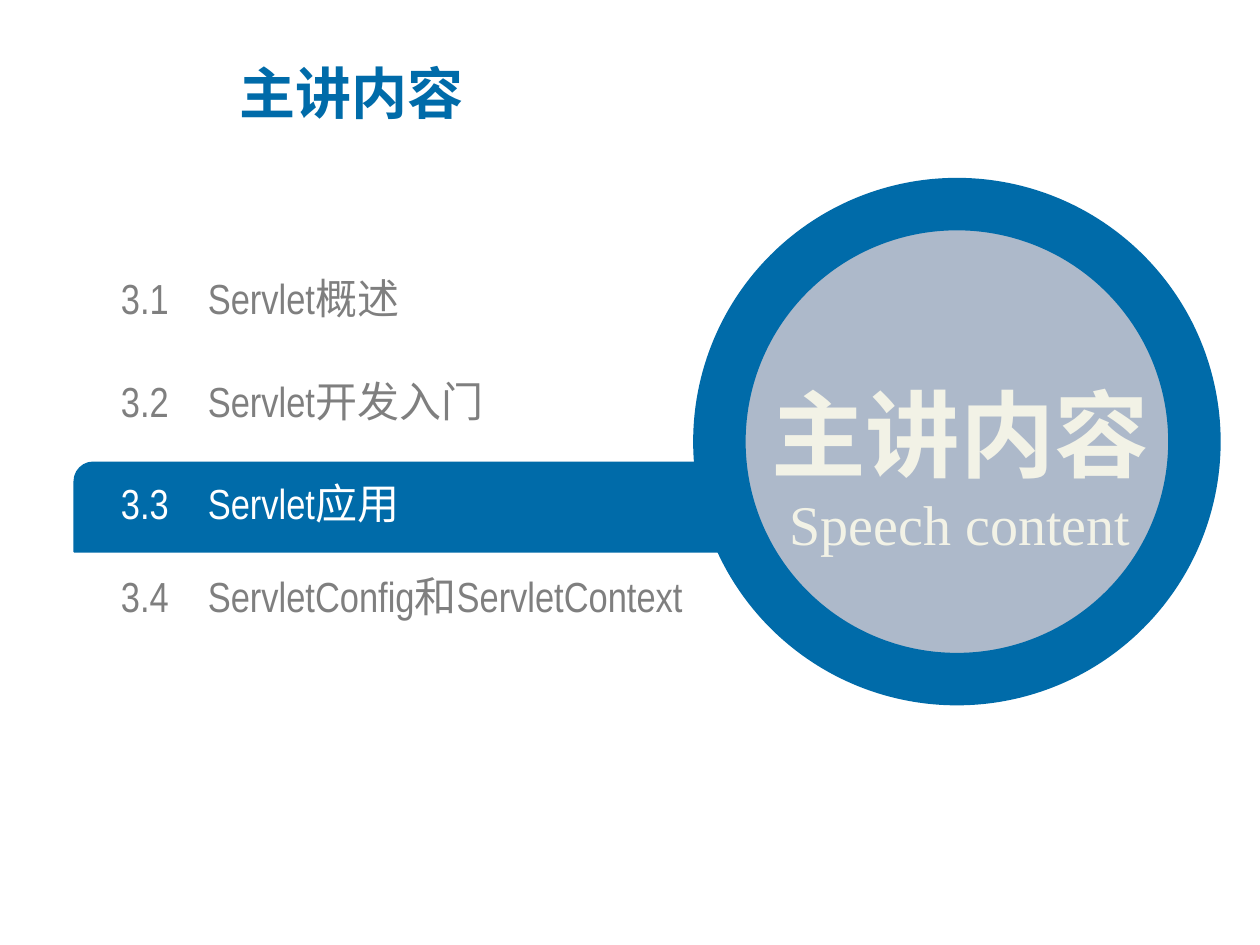
from lxml.etree import SubElement
from pptx import Presentation
from pptx.dml.color import RGBColor
from pptx.enum.shapes import MSO_SHAPE as Shape
from pptx.enum.text import MSO_ANCHOR as Anchor, PP_ALIGN as Align
from pptx.oxml.ns import qn
from pptx.util import Inches, Pt

COLORS = {"blue": "006BA9", "disc": "ADB9CA", "cream": "F2F2E6",
          "grey": "7F7F7F", "white": "FFFFFF"}
CHINESE_FONT = "Noto Sans CJK SC"
TITLE = "主讲内容"
SUBTITLE = "Speech content"
# number, topic, top, width
AGENDA = [
    ("3.1", "Servlet概述", 2.16, 4.19),
    ("3.2", "Servlet开发入门", 2.98, 4.19),
    ("3.3", "Servlet应用", 3.79, 4.19),
    ("3.4", "ServletConfig和ServletContext", 4.53, 5.85),
]
CURRENT = "3.3"
AGENDA_LEFT, AGENDA_HEIGHT, TOPIC_INDENT = 0.96, 0.4, 0.69


def color(name):
    return RGBColor.from_string(COLORS[name])


def write(paragraph, text, *, size, font, fill, bold=False, align=Align.LEFT):
    paragraph.alignment = align
    run = paragraph.add_run()
    run.text = text
    run.font.size = Pt(size)
    run.font.name = font
    run.font.bold = bold
    run.font.color.rgb = color(fill)
    SubElement(run.font._element, qn("a:ea"), typeface=CHINESE_FONT)


def add_tab_stop(paragraph, position):
    tabs = SubElement(paragraph._p.get_or_add_pPr(), qn("a:tabLst"))
    SubElement(tabs, qn("a:tab"), pos=str(Inches(position)), algn="l")


def add_text_box(slide, box, margin=None):
    frame = slide.shapes.add_textbox(*map(Inches, box)).text_frame
    frame.word_wrap = True
    frame.vertical_anchor = Anchor.MIDDLE
    if margin is not None:
        frame.margin_left = frame.margin_right = Inches(margin)
        frame.margin_top = frame.margin_bottom = Inches(margin)
    return frame


def add_filled_shape(slide, kind, box, *, fill, line, line_width):
    shape = slide.shapes.add_shape(kind, *map(Inches, box))
    shape.shadow.inherit = False
    shape.fill.solid()
    shape.fill.fore_color.rgb = color(fill)
    shape.line.color.rgb = color(line)
    shape.line.width = Pt(line_width)
    return shape


def add_title(slide):
    title = slide.shapes.title
    title.left, title.top, title.width, title.height = map(Inches, (1.8, 0.43, 6.83, 0.61))
    title.text_frame.vertical_anchor = Anchor.MIDDLE
    write(title.text_frame.paragraphs[0], TITLE, size=32, font=CHINESE_FONT,
          fill="blue", bold=True)


def add_agenda(slide):
    for number, topic, top, width in AGENDA:
        frame = add_text_box(slide, (AGENDA_LEFT, top, width, AGENDA_HEIGHT), margin=0)
        paragraph = frame.paragraphs[0]
        write(paragraph, f"{number}\t{topic}", size=24, font="Arial Narrow",
              fill="white" if number == CURRENT else "grey")
        add_tab_stop(paragraph, TOPIC_INDENT)


def add_disc(slide):
    add_filled_shape(slide, Shape.OVAL, (5.71, 1.62, 3.77, 3.77),
                     fill="disc", line="blue", line_width=30)
    frame = add_text_box(slide, (5.67, 2.48, 3.9, 2))
    heading = frame.paragraphs[0]
    heading.line_spacing = 1.5
    write(heading, TITLE, size=54, font=CHINESE_FONT, fill="cream", bold=True,
          align=Align.CENTER)
    write(frame.add_paragraph(), SUBTITLE, size=32, font="Times New Roman",
          fill="cream", align=Align.CENTER)


def main():
    presentation = Presentation()
    presentation.slide_width, presentation.slide_height = Inches(10), Inches(7.5)
    slide = presentation.slides.add_slide(presentation.slide_layouts.get_by_name("Title Only"))
    add_title(slide)
    bar = add_filled_shape(slide, Shape.ROUND_2_DIAG_RECTANGLE, (0.59, 3.67, 5.35, 0.71),
                           fill="blue", line="blue", line_width=1)
    bar.adjustments[0], bar.adjustments[1] = 0.21, 0
    add_disc(slide)
    add_agenda(slide)
    presentation.save("out.pptx")


if __name__ == "__main__":
    main()
